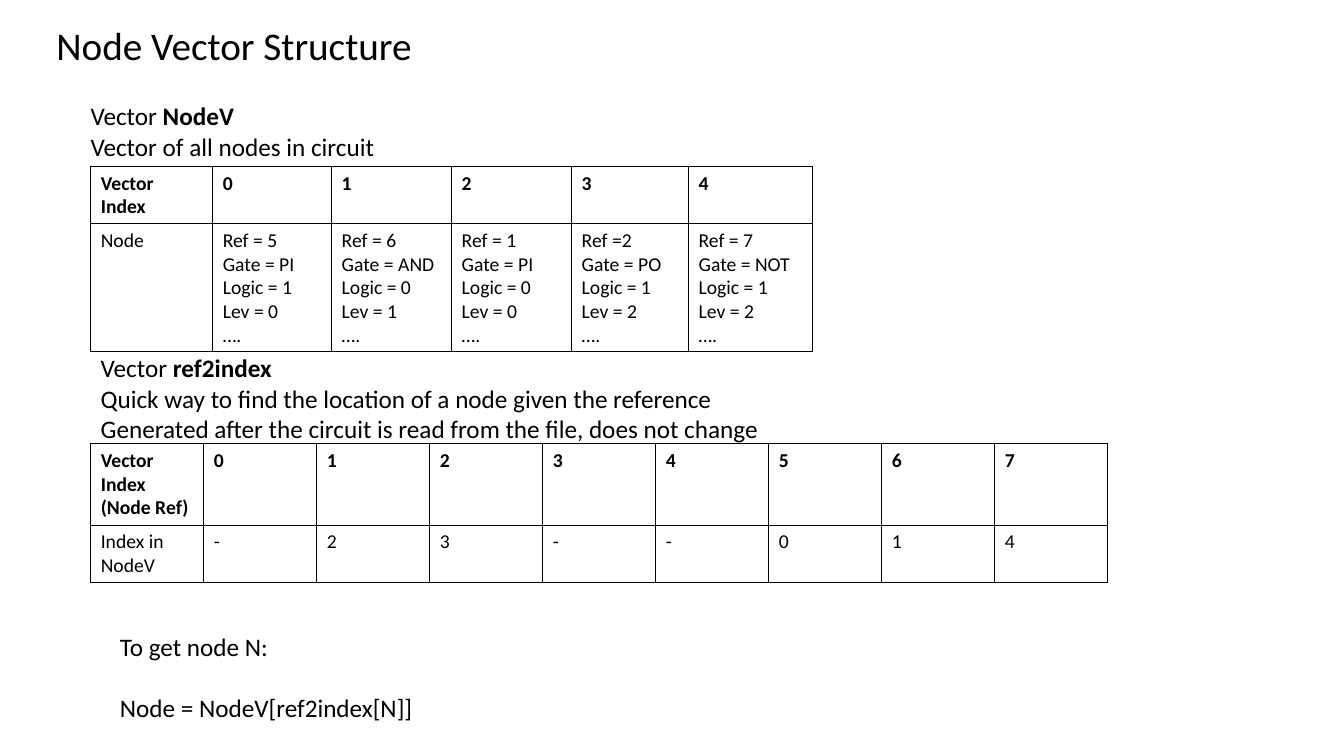
"""Build the slide that explains the node vector structure."""
import dataclasses
import typing

import pptx
import pptx.dml.color
import pptx.enum.text
import pptx.oxml
import pptx.oxml.ns
import pptx.util

BLACK = pptx.dml.color.RGBColor(0, 0, 0)
FONT = "Calibri"
TITLE_ONLY = 5
SLIDE_WIDTH = pptx.util.Inches(13.33)
SLIDE_HEIGHT = pptx.util.Inches(7.5)
BORDER = (
    '<a:{side} {namespace} w="12700"><a:solidFill><a:srgbClr val="{colour}"/>'
    '</a:solidFill></a:{side}>'
)


@dataclasses.dataclass(frozen=True)
class Node:
    """One circuit node as stored in NodeV."""
    reference: int
    gate: str
    logic: int
    level: int
    reference_label: str = "Ref = "

    def describe(self) -> str:
        """List the fields of the node, one a line."""
        return (f"{self.reference_label}{self.reference}\nGate = {self.gate}\n"
                f"Logic = {self.logic}\nLev = {self.level}\n….")


@dataclasses.dataclass(frozen=True)
class TextBlock:
    """Text with its box in percent of the slide; ** toggles bold."""
    text: str
    left: float
    top: float
    width: float
    height: float
    size: float = 18
    space_before: float = 0


@dataclasses.dataclass(frozen=True)
class VectorTable:
    """Table with its place, columns and rows in percent of the slide."""
    top: float
    columns: list[float]
    rows: list[float]
    cells: list[list[str]]
    left: float = 6.75


NODES = [
    Node(5, "PI", 1, 0),
    Node(6, "AND", 0, 1),
    Node(1, "PI", 0, 0),
    Node(2, "PO", 1, 2, "Ref ="),
    Node(7, "NOT", 1, 2),
]
INDEX_BY_REFERENCE = {node.reference: str(index) for index, node in enumerate(NODES)}
REFERENCES = range(max(INDEX_BY_REFERENCE) + 1)

TITLE = TextBlock("Node Vector Structure", 3.45, 2.13, 28.28, 7.6, size=28)
TEXT_BLOCKS = [
    TextBlock("Vector **NodeV**\nVector of all nodes in circuit", 6, 12.67, 23.25, 9.47),
    TextBlock("Vector **ref2index**\n"
              "Quick way to find the location of a node given the reference\n"
              "Generated after the circuit is read from the file, does not change",
              6.75, 46, 51.08, 13.47),
    TextBlock("To get node N:\nNode = NodeV[ref2index[N]]",
              8.18, 82.8, 23.55, 13.47, space_before=22),
]
TABLES = [
    VectorTable(22, [9.08, 8.85, 8.93, 8.93, 8.7, 9.22], [7.47, 16.93], [
        ["Vector Index", *map(str, range(len(NODES)))],
        ["Node", *(node.describe() for node in NODES)],
    ]),
    VectorTable(58.67, [8.41] * (len(REFERENCES) + 1), [10.8, 7.6], [
        ["Vector Index\n(Node Ref)", *map(str, REFERENCES)],
        ["Index in NodeV", *(INDEX_BY_REFERENCE.get(reference, "-") for reference in REFERENCES)],
    ]),
]


def across(percent: float) -> int:
    """Convert a percentage of the slide width to a length."""
    return round(SLIDE_WIDTH * percent / 100)


def down(percent: float) -> int:
    """Convert a percentage of the slide height to a length."""
    return round(SLIDE_HEIGHT * percent / 100)


def write_text(frame: typing.Any, text: str, *, size: float, bold: bool = False,
               space_before: float = 0) -> None:
    """Write one paragraph a line, with bold toggled by ** marks."""
    for number, line in enumerate(text.split("\n")):
        paragraph = frame.add_paragraph() if number else frame.paragraphs[0]
        paragraph.alignment = pptx.enum.text.PP_ALIGN.LEFT
        if number and space_before:
            paragraph.space_before = pptx.util.Pt(space_before)
        for position, part in enumerate(line.split("**")):
            if part:
                run = paragraph.add_run()
                run.text = part
                run.font.name = FONT
                run.font.size = pptx.util.Pt(size)
                run.font.bold = bold or position % 2 == 1
                run.font.color.rgb = BLACK


def fill_text_shape(shape: typing.Any, block: TextBlock) -> None:
    """Place a text shape and write its block."""
    shape.left, shape.top = across(block.left), down(block.top)
    shape.width, shape.height = across(block.width), down(block.height)
    frame = shape.text_frame
    frame.word_wrap = False
    frame.auto_size = pptx.enum.text.MSO_AUTO_SIZE.SHAPE_TO_FIT_TEXT
    frame.vertical_anchor = pptx.enum.text.MSO_ANCHOR.TOP
    write_text(frame, block.text, size=block.size, space_before=block.space_before)


def outline_cell(cell: typing.Any) -> None:
    """Clear the fill of a cell and draw its four borders."""
    cell.fill.background()
    properties = cell._tc.get_or_add_tcPr()
    for position, side in enumerate(("lnL", "lnR", "lnT", "lnB")):
        border = BORDER.format(side=side, namespace=pptx.oxml.ns.nsdecls("a"), colour=BLACK)
        properties.insert(position, pptx.oxml.parse_xml(border))


def draw_table(slide: typing.Any, vector: VectorTable) -> None:
    """Draw a vector as a table with a bold header row."""
    table = slide.shapes.add_table(
        len(vector.rows), len(vector.columns), across(vector.left), down(vector.top),
        across(sum(vector.columns)), down(sum(vector.rows))).table
    table.horz_banding = False
    for column, width in zip(table.columns, vector.columns):
        column.width = across(width)
    for row_number, (row, height) in enumerate(zip(table.rows, vector.rows)):
        row.height = down(height)
        for cell, text in zip(row.cells, vector.cells[row_number]):
            outline_cell(cell)
            write_text(cell.text_frame, text, size=14, bold=row_number == 0)


def main() -> None:
    """Build and save the presentation."""
    presentation = pptx.Presentation()
    presentation.slide_width = SLIDE_WIDTH
    presentation.slide_height = SLIDE_HEIGHT
    slide = presentation.slides.add_slide(presentation.slide_layouts[TITLE_ONLY])
    fill_text_shape(slide.shapes.title, TITLE)
    for vector in TABLES:
        draw_table(slide, vector)
    for block in TEXT_BLOCKS:
        fill_text_shape(slide.shapes.add_textbox(0, 0, 0, 0), block)
    presentation.save("out.pptx")


main()
